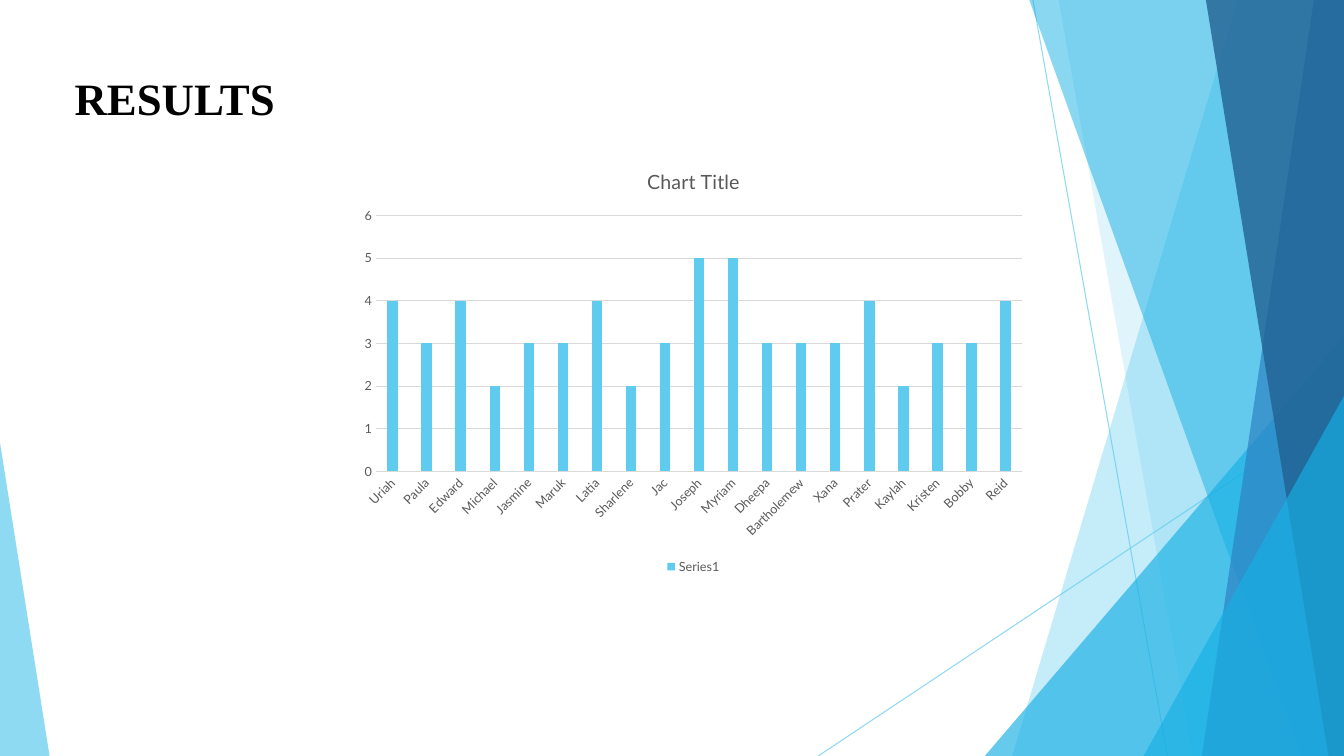
from dataclasses import dataclass

import pptx
import pptx.chart.data
import pptx.dml.color
import pptx.enum.chart
import pptx.enum.shapes
import pptx.enum.text
import pptx.oxml
import pptx.oxml.ns
import pptx.util

Cm = pptx.util.Cm
qn = pptx.oxml.ns.qn


@dataclass(frozen=True)
class Theme:
    sky: str = "5FCBEF"
    cyan: str = "17B0E4"
    blue: str = "2E83C3"
    navy: str = "226292"
    heading: str = "000000"
    label: str = "595959"
    grid: str = "D9D9D9"
    heading_font: str = "Times New Roman"
    chart_font: str = "Lato"
    heading_size: int = 32
    chart_title_size: int = 14
    label_size: int = 9
    line_width: float = 0.75


@dataclass(frozen=True)
class Box:
    left: float
    top: float
    width: float
    height: float

    def lengths(self):
        return Cm(self.left), Cm(self.top), Cm(self.width), Cm(self.height)


THEME = Theme()
PAGE = Box(0, 0, 33.87, 19.05)
SCORES = {
    "Uriah": 4, "Paula": 3, "Edward": 4, "Michael": 2, "Jasmine": 3,
    "Maruk": 3, "Latia": 4, "Sharlene": 2, "Jac": 3, "Joseph": 5,
    "Myriam": 5, "Dheepa": 3, "Bartholemew": 3, "Xana": 3, "Prater": 4,
    "Kaylah": 2, "Kristen": 3, "Bobby": 3, "Reid": 4,
}


def rgb(color):
    return pptx.dml.color.RGBColor.from_string(color)


def set_opacity(color_format, percent):
    color = color_format._xFill.find(qn("a:srgbClr"))
    alpha = pptx.oxml.parse_xml(
        '<a:alpha xmlns:a="http://schemas.openxmlformats.org/drawingml/2006/main"'
        f' val="{percent * 1000}"/>'
    )
    color.append(alpha)


def paint(shape, color, opacity):
    shape.shadow.inherit = False
    shape.fill.solid()
    shape.fill.fore_color.rgb = rgb(color)
    set_opacity(shape.fill.fore_color, opacity)
    shape.line.fill.background()


def add_ray(page, start, end):
    ray = page.shapes.add_connector(
        pptx.enum.shapes.MSO_CONNECTOR.STRAIGHT, *map(Cm, start + end)
    )
    ray.line.width = pptx.util.Pt(THEME.line_width)
    ray.line.color.rgb = rgb(THEME.sky)
    set_opacity(ray.line.color, 70)
    properties = ray._element.spPr
    properties.append(properties.makeelement(qn("a:effectLst"), {}))


def add_band(page, box, top_inset, bottom_inset, color, opacity):
    right, bottom = box.left + box.width, box.top + box.height
    builder = page.shapes.build_freeform(Cm(right - top_inset), Cm(box.top))
    corners = [(right, box.top), (right, bottom), (right - bottom_inset, bottom)]
    builder.add_line_segments([(Cm(x), Cm(y)) for x, y in corners])
    paint(builder.convert_to_shape(), color, opacity)


def add_wedge(page, box, tip, color, opacity):
    wedge = page.shapes.add_shape(
        pptx.enum.shapes.MSO_SHAPE.ISOSCELES_TRIANGLE, *box.lengths()
    )
    wedge.adjustments[0] = tip
    paint(wedge, color, opacity)


def add_corner_wedge(page, box, width, height, tip, color, opacity):
    left = box.left + tip * (box.width - width)
    corner = Box(left, box.top + box.height - height, width, height)
    add_wedge(page, corner, tip, color, opacity)


def add_backdrop(page, box):
    right, bottom = box.left + box.width, box.top + box.height
    add_ray(page, (right - 7.84, box.top), (right - 4.45, bottom))
    add_ray(page, (right, box.top + 10.23), (right - 13.25, bottom))
    add_band(page, box, 2.68, 8.36, THEME.sky, 36)
    add_band(page, box, 7.19, 3.81, THEME.sky, 20)
    add_corner_wedge(page, box, 9.05, 10.58, 1, THEME.cyan, 66)
    add_band(page, box, 7.93, 1.08, THEME.cyan, 50)
    add_band(page, box, 0.76, 3.58, THEME.blue, 70)
    add_band(page, box, 3.48, 0.39, THEME.navy, 80)
    add_corner_wedge(page, box, 5.05, 9.07, 1, THEME.cyan, 66)
    add_corner_wedge(page, box, 1.25, 7.9, 0, THEME.sky, 70)


def add_heading(page, box, text):
    frame = page.shapes.add_textbox(*box.lengths()).text_frame
    frame.word_wrap = True
    frame.auto_size = pptx.enum.text.MSO_AUTO_SIZE.SHAPE_TO_FIT_TEXT
    frame.text = text
    span = frame.paragraphs[0].runs[0]
    style_font(span.font, THEME.heading_size, THEME.heading, THEME.heading_font)
    span.font.bold = True


def style_font(font, size, color, name=THEME.chart_font):
    font.size = pptx.util.Pt(size)
    font.color.rgb = rgb(color)
    font.name = name
    font.bold = False


def style_line(line):
    line.width = pptx.util.Pt(THEME.line_width)
    line.color.rgb = rgb(THEME.grid)


def add_scores_chart(page, box):
    data = pptx.chart.data.CategoryChartData()
    data.categories = list(SCORES)
    data.add_series("Series1", list(SCORES.values()))
    chart = page.shapes.add_chart(
        pptx.enum.chart.XL_CHART_TYPE.COLUMN_CLUSTERED, *box.lengths(), data
    ).chart
    style_font(chart.font, THEME.label_size, THEME.label)

    title = chart.chart_title
    title.text_frame.text = "Chart Title"
    title_span = title.text_frame.paragraphs[0].runs[0]
    style_font(title_span.font, THEME.chart_title_size, THEME.label)
    title.include_text_in_layout = False

    chart.has_legend = True
    chart.legend.position = pptx.enum.chart.XL_LEGEND_POSITION.BOTTOM
    chart.legend.include_in_layout = False
    style_font(chart.legend.font, THEME.label_size, THEME.label)

    for axis in (chart.category_axis, chart.value_axis):
        axis.major_tick_mark = pptx.enum.chart.XL_TICK_MARK.NONE
        axis.minor_tick_mark = pptx.enum.chart.XL_TICK_MARK.NONE
        style_font(axis.tick_labels.font, THEME.label_size, THEME.label)
    style_line(chart.category_axis.format.line)
    names = chart.category_axis._element.find(qn("c:txPr"))
    names.find(qn("a:bodyPr")).set("rot", "-2700000")

    values = chart.value_axis
    values.minimum_scale, values.maximum_scale, values.major_unit = 0, 6, 1
    values.format.line.fill.background()
    style_line(values.major_gridlines.format.line)

    plot = chart.plots[0]
    plot.gap_width = 219
    plot.overlap = -27
    plot.vary_by_categories = False
    bars = plot.series[0].format.fill
    bars.solid()
    bars.fore_color.rgb = rgb(THEME.sky)


def add_results_slide(deck, box):
    page = deck.slides.add_slide(deck.slide_layouts[6])
    add_backdrop(page, box)
    add_heading(page, Box(box.left + 1.63, box.top + 1.65, 19.28, 1.63), "RESULTS")
    add_scores_chart(page, Box(box.left + 8.84, box.top + 3.76, 17.27, 10.82))


def main():
    deck = pptx.Presentation()
    deck.slide_width, deck.slide_height = Cm(PAGE.width), Cm(PAGE.height)
    add_results_slide(deck, PAGE)
    deck.save("out.pptx")


if __name__ == "__main__":
    main()
